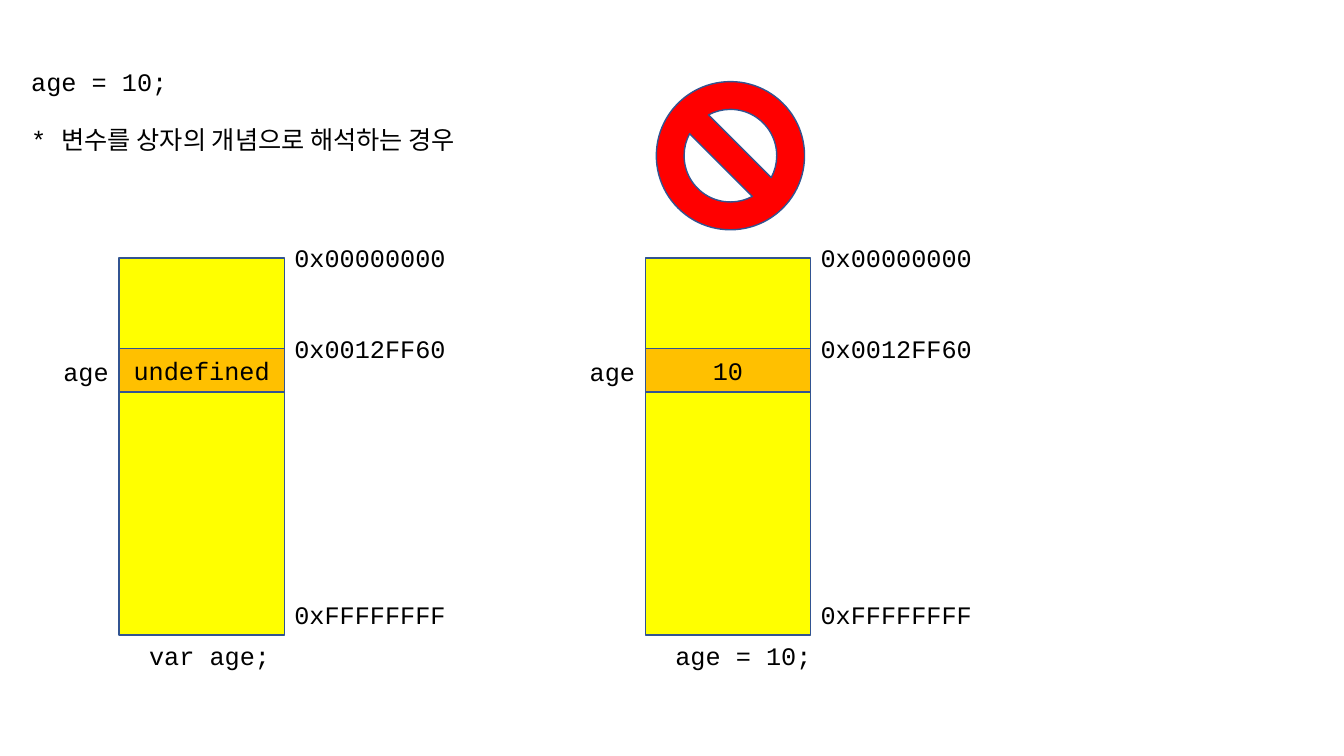
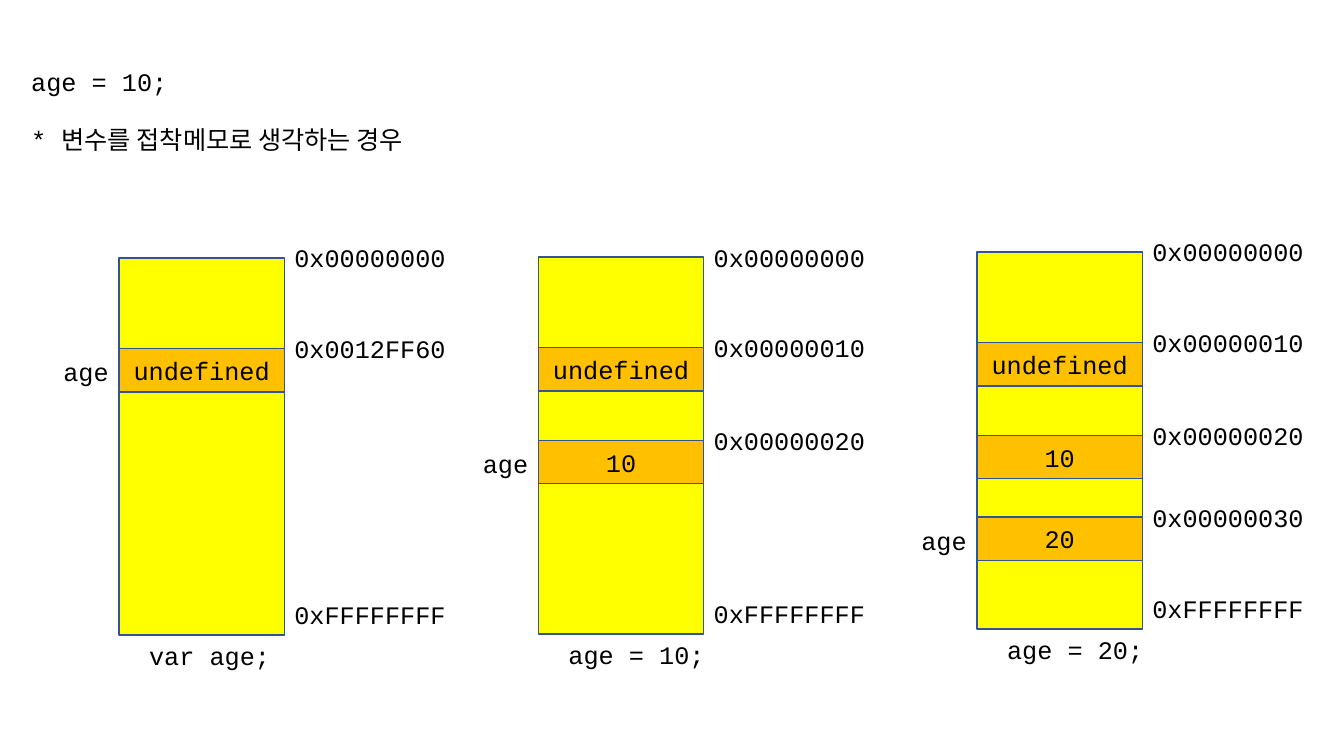
from pptx import Presentation
from pptx.dml.color import RGBColor
from pptx.enum.shapes import MSO_SHAPE
from pptx.enum.text import MSO_ANCHOR, MSO_AUTO_SIZE, PP_ALIGN
from pptx.util import Inches, Pt

RECTANGLE, NO_SIGN = MSO_SHAPE.RECTANGLE, MSO_SHAPE.NO_SYMBOL
LEFT, CENTER = PP_ALIGN.LEFT, PP_ALIGN.CENTER
TOP, MIDDLE = MSO_ANCHOR.TOP, MSO_ANCHOR.MIDDLE
NO_FIT = MSO_AUTO_SIZE.NONE

COLORS = {
    "text": "000000",
    "memory": "FFFF00",
    "cell": "FFC000",
    "outline": "325491",
    "forbidden": "FF0000",
}
FONT = {"name": "Courier New", "size": Pt(18), "bold": False}

FIRST_ADDRESS, LAST_ADDRESS = "0x00000000", "0xFFFFFFFF"
VARIABLE = "age"
CELL_OFFSETS = [0.9, 1.82, 2.63]
MEMORY_WIDTH, MEMORY_HEIGHT, CELL_HEIGHT = 1.64, 3.74, 0.43
LABEL_HEIGHT, CHAR_WIDTH, LABEL_PADDING = 0.4, 0.15, 0.21

DECLARED = {
    "at": (1.18, 2.56),
    "cells": [("undefined", "0x0012FF60")],
    "caption": "var age;",
}
SLIDES = [
    {
        "title": ["age = 10;", "* 변수를 상자의 개념으로 해석하는 경우"],
        "memories": [
            DECLARED,
            {
                "at": (6.4, 2.56),
                "cells": [("10", "0x0012FF60")],
                "caption": "age = 10;",
            },
        ],
        "forbidden": (6.51, 0.81, 1.47, 1.47),
    },
    {
        "title": ["age = 10;", "* 변수를 접착메모로 생각하는 경우"],
        "memories": [
            DECLARED,
            {
                "at": (5.34, 2.55),
                "cells": [("undefined", "0x00000010"), ("10", "0x00000020")],
                "caption": "age = 10;",
            },
            {
                "at": (9.69, 2.5),
                "cells": [
                    ("undefined", "0x00000010"),
                    ("10", "0x00000020"),
                    ("20", "0x00000030"),
                ],
                "caption": "age = 20;",
            },
        ],
    },
]


def rgb(key):
    return RGBColor.from_string(COLORS[key])


def write(frame, lines, wrap, alignment, anchor):
    frame_format = {
        "word_wrap": wrap,
        "auto_size": NO_FIT,
        "vertical_anchor": anchor,
    }
    for attribute, value in frame_format.items():
        setattr(frame, attribute, value)
    frame.text = "\n".join(lines)
    for paragraph in frame.paragraphs:
        paragraph.alignment = alignment
        for attribute, value in FONT.items():
            setattr(paragraph.font, attribute, value)
        paragraph.font.color.rgb = rgb("text")


def add_title(slide, lines):
    title = slide.shapes.title
    place = {"left": 0.21, "top": 0.61, "width": 5.5, "height": 1.01}
    for attribute, value in place.items():
        setattr(title, attribute, Inches(value))
    write(title.text_frame, lines, True, LEFT, TOP)
    for paragraph in title.text_frame.paragraphs[1:]:
        paragraph.space_before = Pt(20)


def add_label(slide, text, left, top):
    width = len(text) * CHAR_WIDTH + LABEL_PADDING
    place = [Inches(v) for v in (left, top, width, LABEL_HEIGHT)]
    label = slide.shapes.add_textbox(*place)
    write(label.text_frame, [text], False, LEFT, TOP)


def add_block(slide, preset, place, color, text=None):
    block = slide.shapes.add_shape(preset, *[Inches(v) for v in place])
    block.shadow.inherit = False
    block.fill.solid()
    block.fill.fore_color.rgb = rgb(color)
    block.line.color.rgb = rgb("outline")
    block.line.width = Pt(1)
    if text:
        write(block.text_frame, [text], True, CENTER, MIDDLE)


def add_memory(slide, memory):
    left, top = memory["at"]
    right, bottom = left + MEMORY_WIDTH, top + MEMORY_HEIGHT
    add_block(slide, RECTANGLE, (left, top, MEMORY_WIDTH, MEMORY_HEIGHT), "memory")
    add_label(slide, FIRST_ADDRESS, right, top - LABEL_HEIGHT / 2)
    add_label(slide, LAST_ADDRESS, right, bottom - LABEL_HEIGHT)
    for (value, address), offset in zip(memory["cells"], CELL_OFFSETS):
        cell_top = top + offset
        cell_place = (left, cell_top, MEMORY_WIDTH, CELL_HEIGHT)
        add_block(slide, RECTANGLE, cell_place, "cell", value)
        add_label(slide, address, right, cell_top - LABEL_HEIGHT / 2)
    add_label(slide, VARIABLE, left - 0.65, cell_top + 0.03)
    add_label(slide, memory["caption"], left + 0.2, bottom)


def main():
    deck = Presentation()
    deck.slide_width, deck.slide_height = Inches(13.33), Inches(7.5)
    title_only = deck.slide_layouts[5]
    for content in SLIDES:
        slide = deck.slides.add_slide(title_only)
        add_title(slide, content["title"])
        for memory in content["memories"]:
            add_memory(slide, memory)
        if "forbidden" in content:
            add_block(slide, NO_SIGN, content["forbidden"], "forbidden")
    deck.save("out.pptx")


if __name__ == "__main__":
    main()
